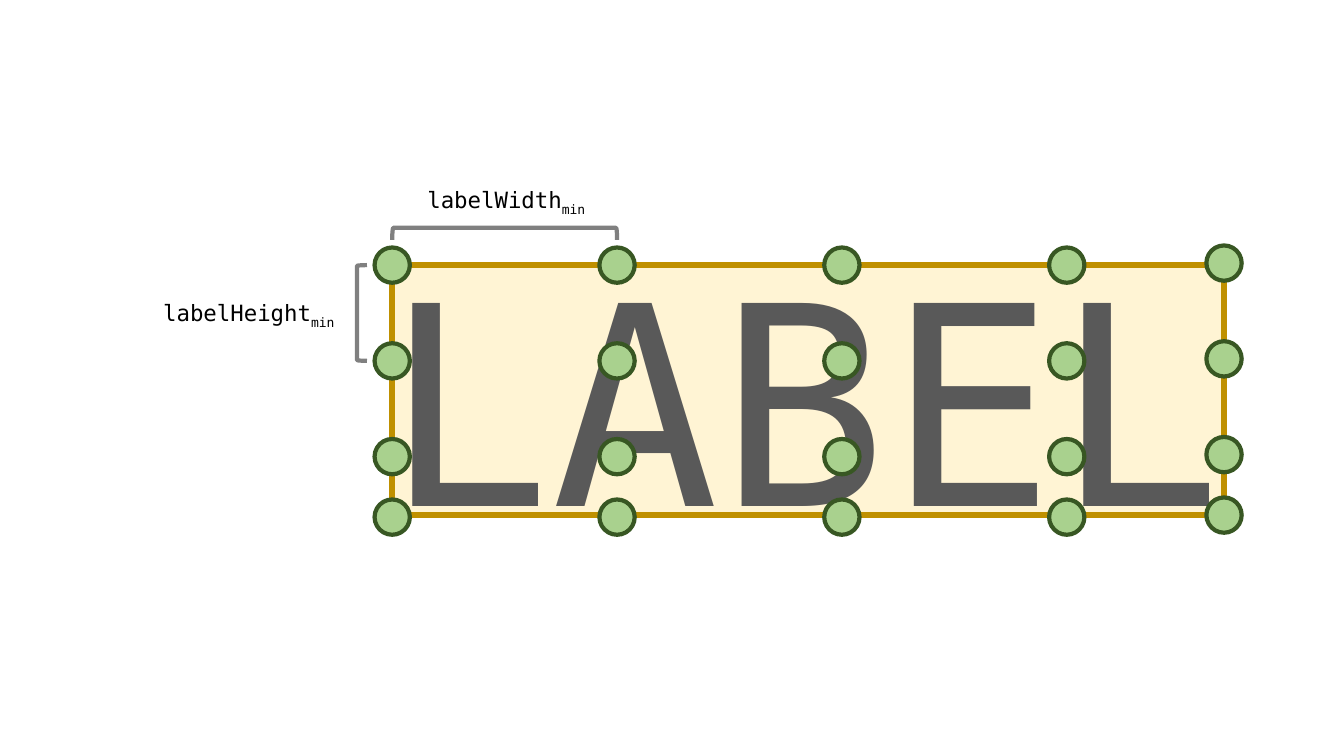
from dataclasses import dataclass

from lxml import etree
from pptx import Presentation
from pptx import util as u
from pptx.dml.color import RGBColor
from pptx.enum import shapes, text
from pptx.oxml import ns


@dataclass(frozen=True)
class Theme:
    font: str = "DejaVu Sans Mono"
    label_size: float = 199
    caption_size: float = 16
    label_color: str = "595959"
    caption_color: str = "000000"
    box_fill: str = "FFE699"
    box_opacity: int = 42
    box_line: str = "BF9000"
    point_fill: str = "A9D18E"
    point_line: str = "385723"
    bracket_line: str = "808080"
    box_weight: float = 4.5
    thin_weight: float = 3


class Diagram:
    def __init__(self, slide, theme):
        self.slide = slide
        self.theme = theme

    def add_shape(self, kind, bounds, line, weight, fill=None):
        shape = self.slide.shapes.add_shape(kind, *map(u.Inches, bounds))
        shape.shadow.inherit = False
        shape.line.color.rgb = RGBColor.from_string(line)
        shape.line.width = u.Pt(weight)
        if fill:
            shape.fill.solid()
            shape.fill.fore_color.rgb = RGBColor.from_string(fill)
        else:
            shape.fill.background()
        return shape

    def add_box(self, *bounds):
        theme = self.theme
        box = self.add_shape(shapes.MSO_SHAPE.RECTANGLE, bounds,
                             theme.box_line, theme.box_weight, theme.box_fill)
        color = box.fill._xPr.find(ns.qn("a:solidFill"))[0]
        alpha = etree.SubElement(color, ns.qn("a:alpha"))
        alpha.set("val", str(theme.box_opacity * 1000))

    def add_point(self, center_x, center_y, diameter=0.35):
        bounds = (center_x - diameter / 2, center_y - diameter / 2,
                  diameter, diameter)
        self.add_shape(shapes.MSO_SHAPE.OVAL, bounds, self.theme.point_line,
                       self.theme.thin_weight, self.theme.point_fill)

    def add_bracket(self, *bounds, rotation=0):
        bracket = self.add_shape(shapes.MSO_SHAPE.LEFT_BRACKET, bounds,
                                 self.theme.bracket_line, self.theme.thin_weight)
        bracket.rotation = rotation

    def add_text(self, bounds, wording, size, color, subscript=None):
        frame = self.slide.shapes.add_textbox(*map(u.Inches, bounds)).text_frame
        frame.word_wrap = False
        frame.auto_size = text.MSO_AUTO_SIZE.SHAPE_TO_FIT_TEXT
        paragraph = frame.paragraphs[0]
        paragraph.font.name = self.theme.font
        paragraph.font.size = u.Pt(size)
        paragraph.font.color.rgb = RGBColor.from_string(color)
        paragraph.add_run().text = wording
        if subscript:
            run = paragraph.add_run()
            run.text = subscript
            run._r.get_or_add_rPr().set("baseline", "-25000")

    def add_caption(self, bounds, wording):
        self.add_text(bounds, wording, self.theme.caption_size,
                      self.theme.caption_color, subscript="min")


presentation = Presentation()
presentation.slide_width = u.Inches(13.33)
presentation.slide_height = u.Inches(7.5)
slide = presentation.slides.add_slide(presentation.slide_layouts[6])
theme = Theme()
diagram = Diagram(slide, theme)

# Label and its bounding box
left, top, width, height = 3.89, 2.63, 8.25, 2.48
diagram.add_box(left, top, width, height)
diagram.add_text((3.71, 2.21, 8.57, 3.45), "LABEL",
                 theme.label_size, theme.label_color)

# Sample points: minimum steps, closed by the far edges
step_x, step_y = 2.23, 0.95
columns = [left + step_x * index for index in range(4)] + [left + width]
rows = [top + step_y * index for index in range(3)] + [top + height + 0.02]
right_column_lift = 0.02
for y in rows:
    for x in columns:
        lift = right_column_lift if x == columns[-1] else 0
        diagram.add_point(x, y - lift)

# Minimum width: bracket turned to lie above the first step
depth, middle_y = 0.12, 2.32
diagram.add_caption((4.14, 1.8, 1.82, 0.37), "labelWidth")
diagram.add_bracket(left + (step_x - depth) / 2, middle_y - step_x / 2,
                    depth, step_x, rotation=90)

# Minimum height
diagram.add_caption((1.52, 2.92, 1.96, 0.37), "labelHeight")
diagram.add_bracket(3.54, top, 0.1, step_y)

presentation.save("out.pptx")
